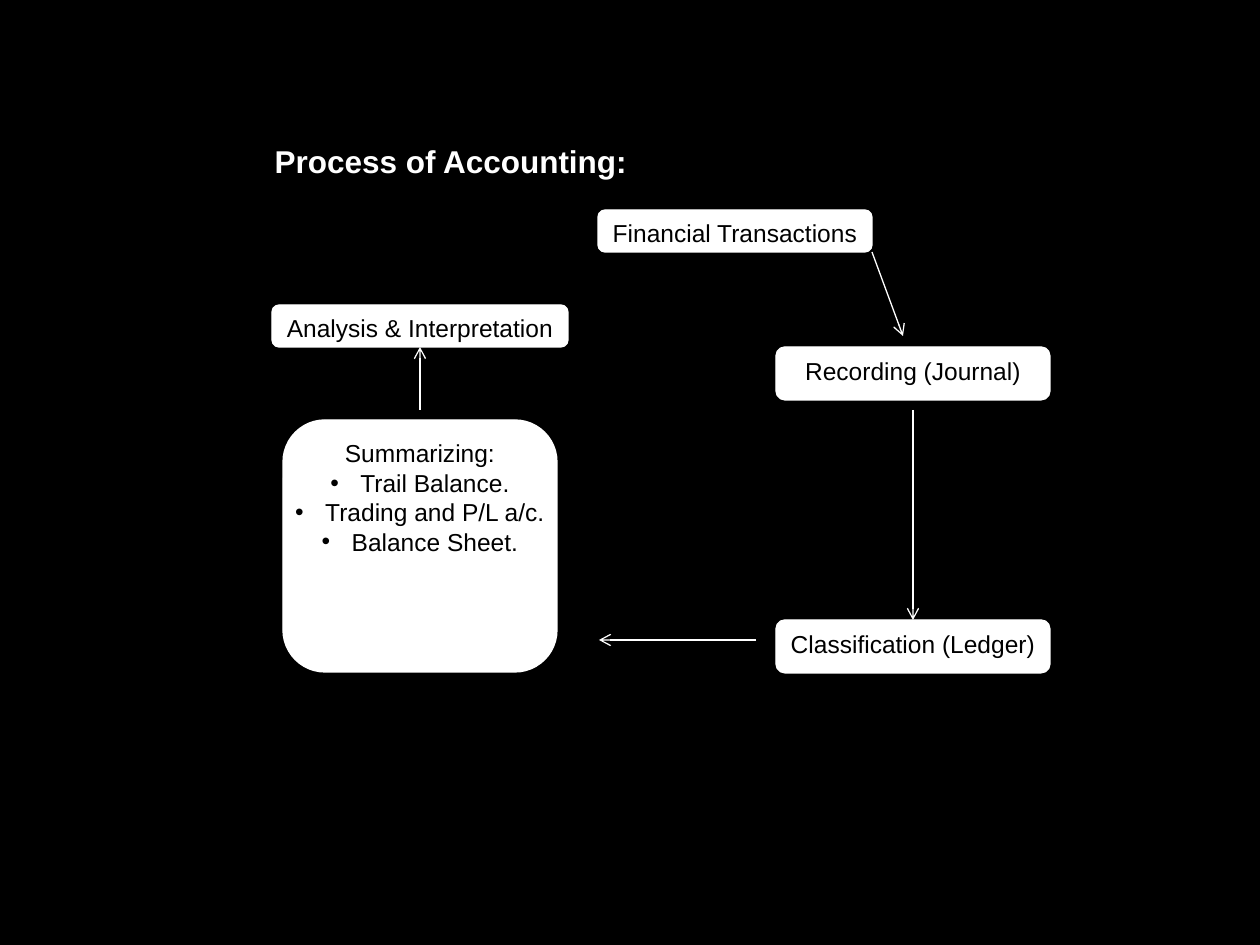
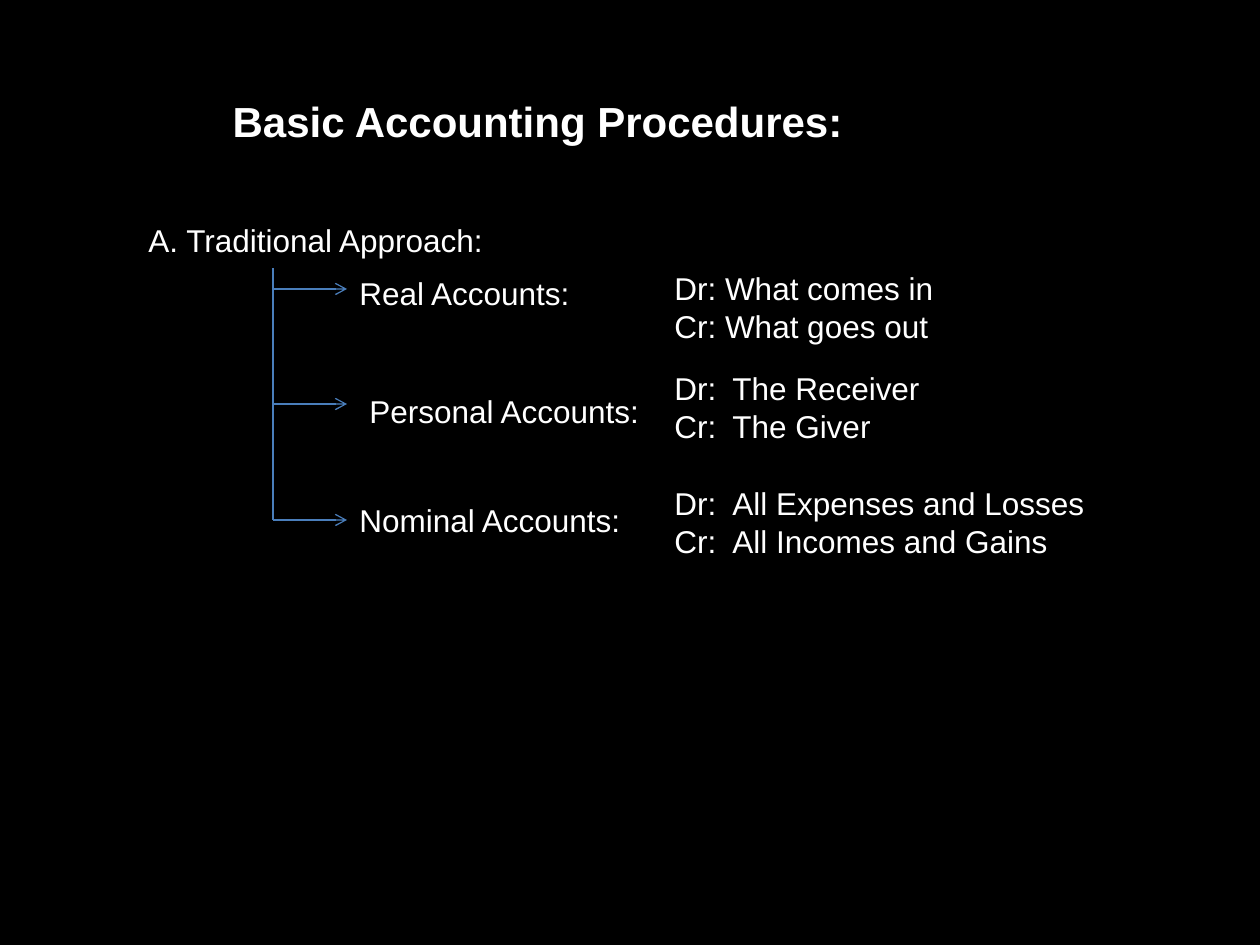
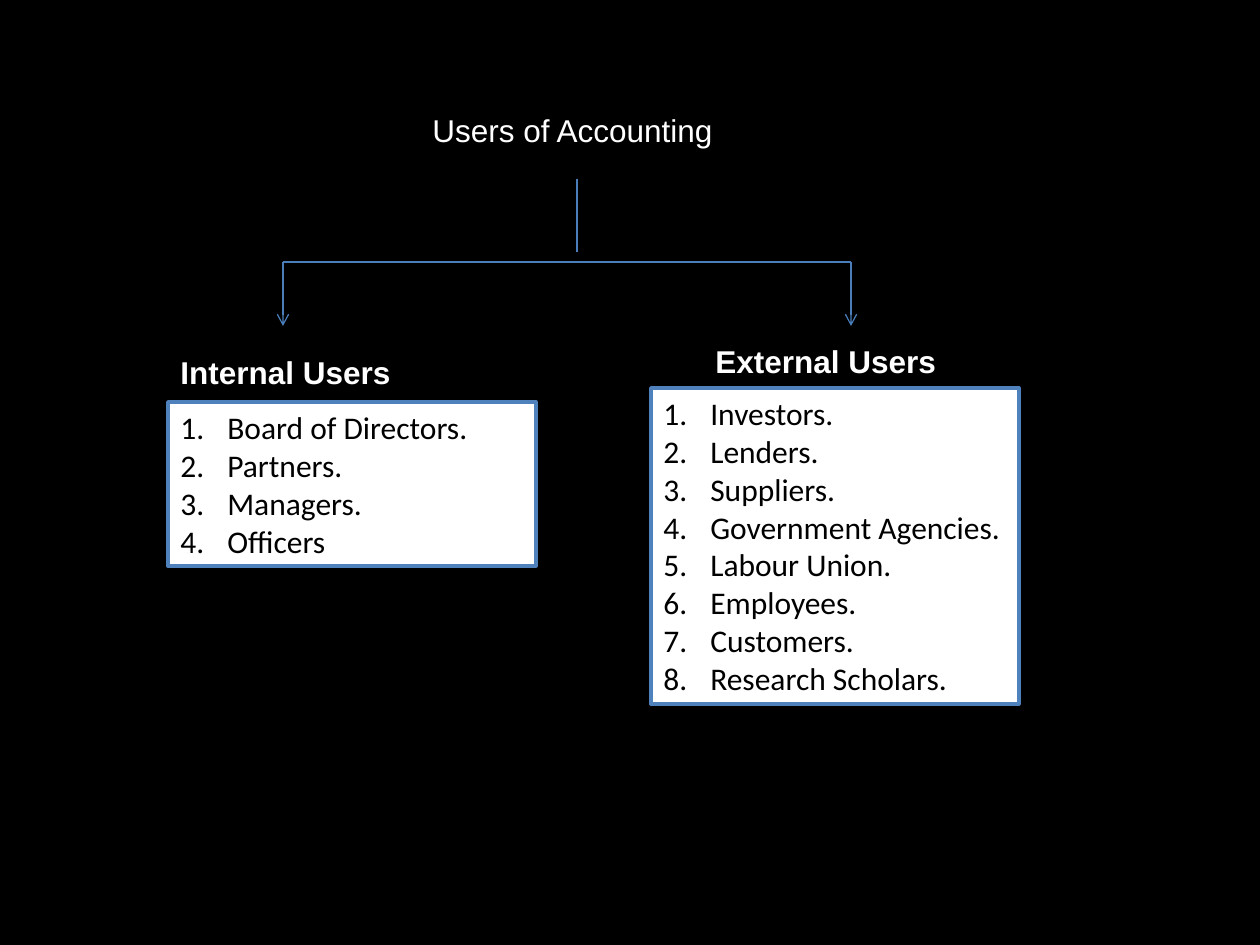
"""Build three slides on the accounting process, its procedures and its users."""
from dataclasses import dataclass

from lxml import etree
from pptx import Presentation
from pptx.dml.color import RGBColor
from pptx.enum.shapes import MSO_CONNECTOR, MSO_SHAPE
from pptx.enum.text import MSO_ANCHOR, MSO_AUTO_SIZE, PP_ALIGN
from pptx.oxml.ns import qn
from pptx.util import Emu, Pt

LEFT, CENTER = PP_ALIGN.LEFT, PP_ALIGN.CENTER
RECT, ROUND = MSO_SHAPE.RECTANGLE, MSO_SHAPE.ROUNDED_RECTANGLE
STRAIGHT, TOP = MSO_CONNECTOR.STRAIGHT, MSO_ANCHOR.TOP
NO_FIT = MSO_AUTO_SIZE.NONE
TOP_SIDE, BOTTOM_SIDE = 0, 2
EMU_PER_INCH, PX_PER_INCH = 914400, 126


@dataclass(frozen=True)
class Theme:
    """Colours, fonts, type sizes and line widths."""
    black: str = "000000"
    white: str = "FFFFFF"
    connector: str = "4A7EBB"
    border: str = "4F81BD"
    sans: str = "Arial"
    list_font: str = "Calibri"
    title: int = 24
    body: int = 18
    step: int = 14
    thin: float = 0.75
    thick: float = 2


T = Theme()

STEPS = {
    "transactions": ((598, 210, 274, 42), ["Financial Transactions"]),
    "recording": ((776, 347, 274, 53), ["Recording (Journal)"]),
    "classification": ((776, 620, 274, 53), ["Classification (Ledger)"]),
    "analysis": ((272, 305, 296, 42), ["Analysis & Interpretation"]),
    "summary": ((283, 420, 274, 252), [
        "Summarizing:", "Trail Balance.", "Trading and P/L a/c.", "Balance Sheet."]),
}
STEP_ARROWS = [
    ((872, 252), (903, 336), None),
    ((756, 640), (599, 640), None),
    ((913, 410), (913, 620), ("classification", TOP_SIDE)),
    ((420, 410), (420, 347), ("analysis", BOTTOM_SIDE)),
]

ACCOUNTS = [
    ("Real Accounts:", (347, 268), 289, 263, ["Dr: What comes in", "Cr: What goes out"]),
    ("Personal Accounts:", (357, 386), 404, 363, ["Dr:\tThe Receiver", "Cr:\tThe Giver"]),
    ("Nominal Accounts:", (347, 495), 520, 478,
     ["Dr:\tAll Expenses and Losses", "Cr:\tAll Incomes and Gains"]),
]
TRUNK_X, TRUNK_TOP, BRANCH_END = 273, 268, 347
RULE_X, RULE_TAB = 662, 58

USERS = [
    ("Internal Users", (168, 347), (168, 402), 283,
     ["Board of Directors.", "Partners.", "Managers.", "Officers"]),
    ("External Users", (703, 336), (651, 388), 851,
     ["Investors.", "Lenders.", "Suppliers.", "Government Agencies.", "Labour Union.",
      "Employees.", "Customers.", "Research Scholars."]),
]
FORK_X, FORK_TOP, FORK_BOTTOM, BAR_Y, ARROW_END = 577, 179, 252, 262, 326
PANEL_W, PANEL_PAD, LINE_H = 368, 12, 38
LABEL_H, RULE_H = 50, 88
STEP_INDENT, LIST_INDENT = 30, 47


def px(n):
    return Emu(round(n * EMU_PER_INCH / PX_PER_INCH))


def rgb(value):
    return RGBColor.from_string(value)


def write(tf, lines, size, color=T.white, font=T.sans, bold=False, align=LEFT, wrap=True):
    tf.text = "\n".join(lines)
    tf.word_wrap = wrap
    tf.auto_size = NO_FIT
    tf.vertical_anchor = TOP
    for p in tf.paragraphs:
        p.alignment = align
        for r in p.runs:
            r.font.name, r.font.size, r.font.bold = font, Pt(size), bold
            r.font.color.rgb = rgb(color)


def bullet(p, indent, tag, **attrs):
    pPr = p._p.get_or_add_pPr()
    pPr.set("marL", str(px(indent)))
    pPr.set("indent", str(-px(indent)))
    if tag == "a:buChar":
        etree.SubElement(pPr, qn("a:buFont"), typeface=T.sans)
    etree.SubElement(pPr, qn(tag), **attrs)


def add_tab(p, position):
    tabs = etree.SubElement(p._p.get_or_add_pPr(), qn("a:tabLst"))
    etree.SubElement(tabs, qn("a:tab"), pos=str(px(position)), algn="l")


def add_slide(prs, title, frame, size=T.body, bold=True, align=LEFT):
    s = prs.slides.add_slide(prs.slide_layouts.get_by_name("Title Only"))
    sp = s.shapes.title
    sp.left, sp.top, sp.width, sp.height = map(px, frame)
    write(sp.text_frame, [title], size, bold=bold, align=align)
    return s


def add_text(s, frame, lines, bold=False):
    sp = s.shapes.add_textbox(*map(px, frame))
    write(sp.text_frame, lines, T.body, bold=bold)
    return sp.text_frame


def add_box(s, kind, frame, border, width):
    sp = s.shapes.add_shape(kind, *map(px, frame))
    sp.shadow.inherit = False
    sp.fill.solid()
    sp.fill.fore_color.rgb = rgb(T.white)
    sp.line.color.rgb = rgb(border)
    sp.line.width = Pt(width)
    return sp


def add_line(s, start, end, color=T.connector, arrow=False):
    c = s.shapes.add_connector(STRAIGHT, *map(px, start + end))
    c.line.color.rgb = rgb(color)
    c.line.width = Pt(T.thin)
    spPr = c._element.spPr
    if arrow:
        etree.SubElement(spPr.find(qn("a:ln")), qn("a:tailEnd"), type="arrow")
    etree.SubElement(spPr, qn("a:effectLst"))
    return c


def process_slide(prs):
    s = add_slide(prs, "Process of Accounting:", (262, 136, 599, LABEL_H))
    boxes = {}
    for name, (frame, lines) in STEPS.items():
        sp = boxes[name] = add_box(s, ROUND, frame, T.white, T.thin)
        write(sp.text_frame, lines, T.step, T.black, align=CENTER, wrap=False)
        for p in sp.text_frame.paragraphs[1:]:
            bullet(p, STEP_INDENT, "a:buChar", char="•")
    for start, end, target in STEP_ARROWS:
        c = add_line(s, start, end, T.white, arrow=True)
        if target:
            name, side = target
            c.end_connect(boxes[name], side)


def procedures_slide(prs):
    s = add_slide(prs, "Basic Accounting Procedures:", (220, 89, 756, 63), T.title)
    add_text(s, (136, 215, 473, LABEL_H), ["A. Traditional Approach:"])
    add_line(s, (TRUNK_X, TRUNK_TOP), (TRUNK_X, ACCOUNTS[-1][2]))
    for label, (x, y), branch_y, rule_y, rules in ACCOUNTS:
        add_line(s, (TRUNK_X, branch_y), (BRANCH_END, branch_y), arrow=True)
        add_text(s, (x, y, RULE_X - x, LABEL_H), [label])
        tf = add_text(s, (RULE_X, rule_y, 441, RULE_H), rules)
        for p in tf.paragraphs:
            add_tab(p, RULE_TAB)


def users_slide(prs):
    s = add_slide(prs, "Users of Accounting", (273, 105, 599, LABEL_H), bold=False, align=CENTER)
    add_line(s, (FORK_X, FORK_TOP), (FORK_X, FORK_BOTTOM))
    add_line(s, (USERS[0][3], BAR_Y), (USERS[-1][3], BAR_Y))
    for heading, label_at, panel_at, arrow_x, people in USERS:
        add_line(s, (arrow_x, BAR_Y), (arrow_x, ARROW_END), arrow=True)
        add_text(s, label_at + (273, LABEL_H), [heading], bold=True)
        frame = panel_at + (PANEL_W, PANEL_PAD + LINE_H * len(people))
        sp = add_box(s, RECT, frame, T.border, T.thick)
        write(sp.text_frame, people, T.body, T.black, T.list_font)
        for p in sp.text_frame.paragraphs:
            bullet(p, LIST_INDENT, "a:buAutoNum", type="arabicPeriod")


def main():
    prs = Presentation()
    prs.slide_width, prs.slide_height = px(1260), px(945)
    fill = prs.slide_master.background.fill
    fill.solid()
    fill.fore_color.rgb = rgb(T.black)
    process_slide(prs)
    procedures_slide(prs)
    users_slide(prs)
    prs.save("out.pptx")


if __name__ == "__main__":
    main()
